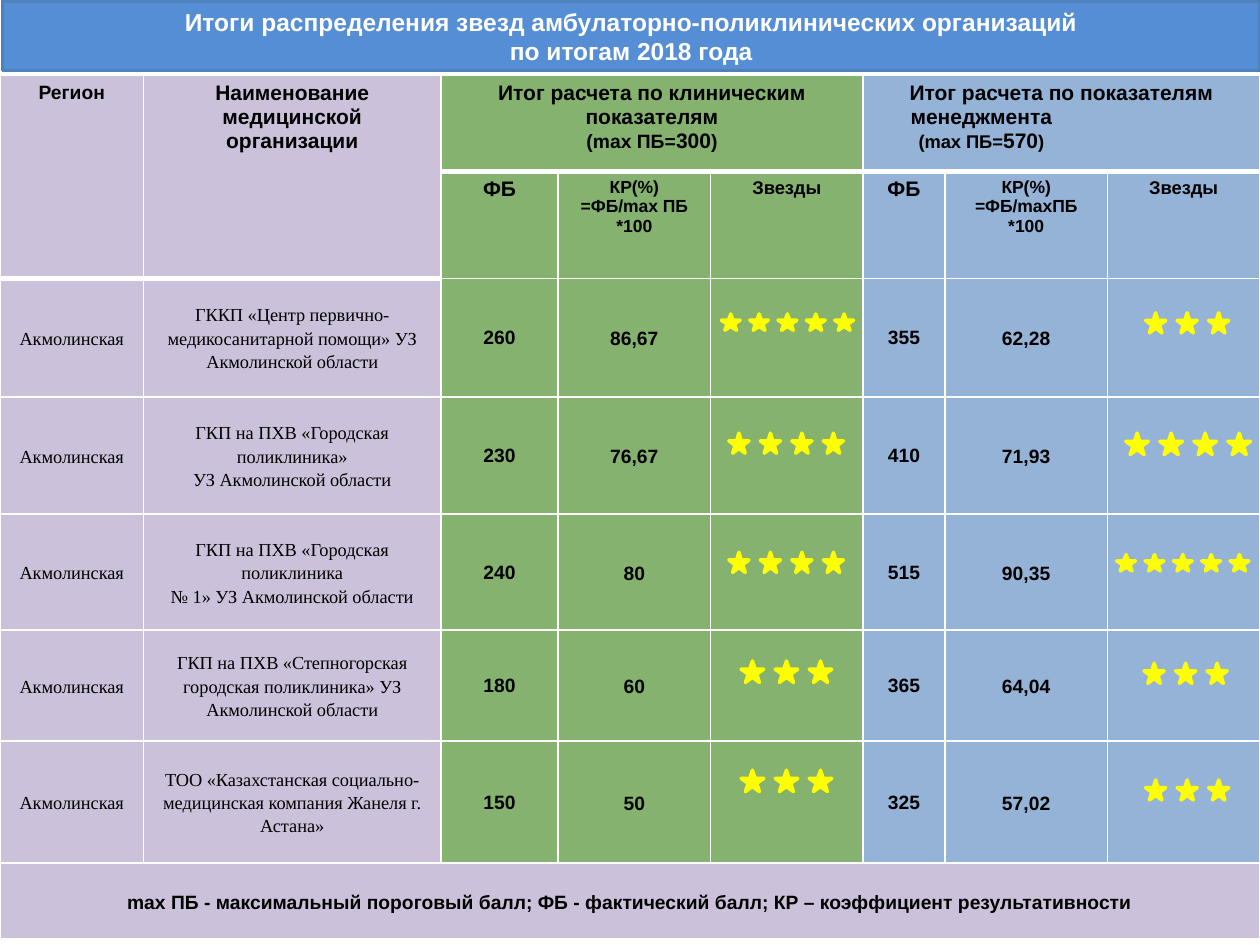
from dataclasses import dataclass
from itertools import accumulate

from lxml.etree import SubElement
from pptx import Presentation
from pptx.dml.color import RGBColor
from pptx.enum.shapes import MSO_SHAPE as Shape
from pptx.enum.text import MSO_ANCHOR as Anchor, PP_ALIGN as Align
from pptx.oxml.ns import qn
from pptx.util import Inches, Pt


@dataclass(frozen=True)
class Theme:
    title: str = "558ED5"
    title_line: str = "4F81BD"
    names: str = "CCC1DA"
    clinical: str = "85B26E"
    management: str = "95B3D7"
    star: str = "FFFF00"
    white: str = "FFFFFF"
    black: str = "000000"
    sans: str = "Arial"
    serif: str = "Times New Roman"
    title_pt: float = 14
    head_pt: float = 12
    body_pt: float = 11
    small_pt: float = 10.5
    formula_pt: float = 10


@dataclass(frozen=True)
class StarSize:
    width: float
    height: float
    step: float


@dataclass(frozen=True)
class Stars:
    """A row of stars; x and y are shares of its table cell."""
    count: int
    size: StarSize
    x: float
    y: float


@dataclass(frozen=True)
class Score:
    points: str
    ratio: str
    stars: Stars


@dataclass(frozen=True)
class Clinic:
    name: str
    clinical: Score
    management: Score


T = Theme()
SMALL = StarSize(0.15, 0.13, 0.225)
MEDIUM = StarSize(0.16, 0.16, 0.25)
LARGE = StarSize(0.18, 0.17, 0.27)

SLIDE_W, SLIDE_H = 10, 7.5
TABLE_TOP = 0.6
COLS = [1.14, 2.36, 0.93, 1.21, 1.21, 0.65, 1.29, 1.21]
ROWS = [0.76, 0.85, 0.94, 0.93, 0.92, 0.88, 0.97, 0.6]
COL_X = list(accumulate(COLS, initial=0))
ROW_Y = list(accumulate(ROWS, initial=TABLE_TOP))
COL_FILLS = [T.names] * 2 + [T.clinical] * 3 + [T.management] * 3
REGION = "Акмолинская"

CLINICS = [
    Clinic("ГККП «Центр первично-медикосанитарной помощи» УЗ Акмолинской области",
           Score("260", "86,67", Stars(5, SMALL, 0.07, 0.3)),
           Score("355", "62,28", Stars(3, MEDIUM, 0.25, 0.29))),
    Clinic("ГКП на ПХВ «Городская поликлиника»\nУЗ Акмолинской области",
           Score("230", "76,67", Stars(4, MEDIUM, 0.12, 0.31)),
           Score("410", "71,93", Stars(4, LARGE, 0.12, 0.31))),
    Clinic("ГКП на ПХВ «Городская поликлиника\n№ 1» УЗ Акмолинской области",
           Score("240", "80", Stars(4, MEDIUM, 0.12, 0.33)),
           Score("515", "90,35", Stars(5, SMALL, 0.06, 0.35))),
    Clinic("ГКП на ПХВ «Степногорская городская поликлиника» УЗ Акмолинской области",
           Score("180", "60", Stars(3, LARGE, 0.2, 0.28)),
           Score("365", "64,04", Stars(3, MEDIUM, 0.24, 0.3))),
    Clinic("ТОО «Казахстанская социально-медицинская компания Жанеля г. Астана»",
           Score("150", "50", Stars(3, LARGE, 0.2, 0.24)),
           Score("325", "57,02", Stars(3, MEDIUM, 0.25, 0.32))),
]


def rgb(color: str) -> RGBColor:
    return RGBColor.from_string(color)


def add_run(p, text: str, *, size: float, font: str = T.sans,
            bold: bool = True, color: str = T.black) -> None:
    r = p.add_run()
    r.text = text
    r.font.size, r.font.name, r.font.bold = Pt(size), font, bold
    r.font.color.rgb = rgb(color)


def write(tf, text: str, *, spacing: float | None = None, **style) -> None:
    """Fill a text frame with one centred paragraph per line of text."""
    for i, line in enumerate(text.split("\n")):
        p = tf.paragraphs[0] if i == 0 else tf.add_paragraph()
        p.alignment = Align.CENTER
        if spacing:
            p.line_spacing = spacing
        add_run(p, line, **style)


def write_body(cell, text: str, *, tight: bool = False, **style) -> None:
    side, top = (0.01, 0.01) if tight else (0.07, 0)
    cell.margin_left = cell.margin_right = Inches(side)
    cell.margin_top, cell.margin_bottom = Inches(top), 0
    cell.vertical_anchor = Anchor.MIDDLE
    write(cell.text_frame, text, spacing=None if tight else 1.15, **style)


def paint_cell(cell, fill: str, bottom: float) -> None:
    tc_pr = cell._tc.get_or_add_tcPr()
    for side, width in (("L", 1), ("R", 1), ("T", 1), ("B", bottom)):
        ln = SubElement(tc_pr, qn(f"a:ln{side}"), w=str(Pt(width)))
        SubElement(SubElement(ln, qn("a:solidFill")), qn("a:srgbClr"), val=T.white)
    cell.fill.solid()
    cell.fill.fore_color.rgb = rgb(fill)


def add_box(shapes, kind, x: float, y: float, w: float, h: float, fill: str, line: str):
    sp = shapes.add_shape(kind, Inches(x), Inches(y), Inches(w), Inches(h))
    sp.shadow.inherit = False
    sp.fill.solid()
    sp.fill.fore_color.rgb = rgb(fill)
    sp.line.color.rgb = rgb(line)
    sp.line.width = Pt(2)
    return sp


def add_stars(s, stars: Stars, row: int, col: int) -> None:
    group, size = s.shapes.add_group_shape(), stars.size
    x = COL_X[col] + stars.x * COLS[col]
    y = ROW_Y[row] + stars.y * ROWS[row]
    for i in range(stars.count):
        add_box(group.shapes, Shape.STAR_5_POINT, x + i * size.step, y,
                size.width, size.height, T.star, T.star)


def add_title(s) -> None:
    sp = add_box(s.shapes, Shape.RECTANGLE, 0.02, 0.01, SLIDE_W - 0.02, 0.55,
                 T.title, T.title_line)
    tf = sp.text_frame
    tf.word_wrap, tf.vertical_anchor = True, Anchor.MIDDLE
    style = dict(size=T.title_pt, color=T.white)
    write(tf, "Итоги распределения звезд амбулаторно-поликлинических организаций", **style)
    p = tf.paragraphs[0]
    p.add_line_break()
    add_run(p, "по итогам 2018 года", **style)


def add_group_head(cell, title: str, maximum: str, size: float) -> None:
    write(cell.text_frame, title, size=T.head_pt)
    p = cell.text_frame.add_paragraph()
    p.alignment = Align.CENTER
    for text, pt in (("(mах ПБ=", size), (maximum, T.head_pt), (")", size)):
        add_run(p, text, size=pt)


def add_heads(table) -> None:
    for col, text, size in ((0, "Регион", T.body_pt),
                            (1, "Наименование медицинской организации", T.head_pt)):
        table.cell(0, col).merge(table.cell(1, col))
        write(table.cell(0, col).text_frame, text, size=size)
    for col, title, maximum, size, formula in (
            (2, "Итог расчета по клиническим показателям", "300", T.body_pt,
             "=ФБ/mах ПБ *100"),
            (5, "Итог расчета по показателям\nменеджмента", "570", T.small_pt,
             "=ФБ/mахПБ *100")):
        table.cell(0, col).merge(table.cell(0, col + 2))
        add_group_head(table.cell(0, col), title, maximum, size)
        for i, (text, pt) in enumerate((("ФБ", T.head_pt),
                                        (f"КР(%)\n{formula}", T.formula_pt),
                                        ("Звезды", T.small_pt))):
            write(table.cell(1, col + i).text_frame, text, size=pt)
    # The second line of the management heading sits left of centre
    shifted = table.cell(0, 5).text_frame.paragraphs[1]
    shifted._p.get_or_add_pPr().set("marR", str(Inches(1.27)))


def add_scores(s) -> None:
    table = s.shapes.add_table(len(ROWS), len(COLS), 0, Inches(TABLE_TOP),
                               Inches(SLIDE_W), Inches(sum(ROWS))).table
    table.first_row = table.horz_banding = False
    for column, width in zip(table.columns, COLS):
        column.width = Inches(width)
    last = len(ROWS) - 1
    for i, (row, height) in enumerate(zip(table.rows, ROWS)):
        row.height = Inches(height)
        for cell, fill in zip(row.cells, COL_FILLS):
            paint_cell(cell, T.names if i == last else fill, 3 if i == 0 else 1)
    add_heads(table)

    # One row per clinic, with stars over the cells
    for i, clinic in enumerate(CLINICS, start=2):
        for col, text in enumerate((REGION, clinic.name)):
            write_body(table.cell(i, col), text, size=T.small_pt, font=T.serif, bold=False)
        for col, score in ((2, clinic.clinical), (5, clinic.management)):
            write_body(table.cell(i, col), score.points, tight=True, size=T.body_pt)
            write_body(table.cell(i, col + 1), score.ratio, size=T.body_pt)
            add_stars(s, score.stars, i, col + 2)

    # Legend across the whole table
    table.cell(last, 0).merge(table.cell(last, len(COLS) - 1))
    write_body(table.cell(last, 0), "mах ПБ - максимальный пороговый балл; ФБ - фактический "
               "балл; КР – коэффициент результативности", size=T.body_pt)


def main() -> None:
    prs = Presentation()
    prs.slide_width, prs.slide_height = Inches(SLIDE_W), Inches(SLIDE_H)
    s = prs.slides.add_slide(prs.slide_layouts[6])
    add_title(s)
    add_scores(s)
    prs.save("out.pptx")


if __name__ == "__main__":
    main()
